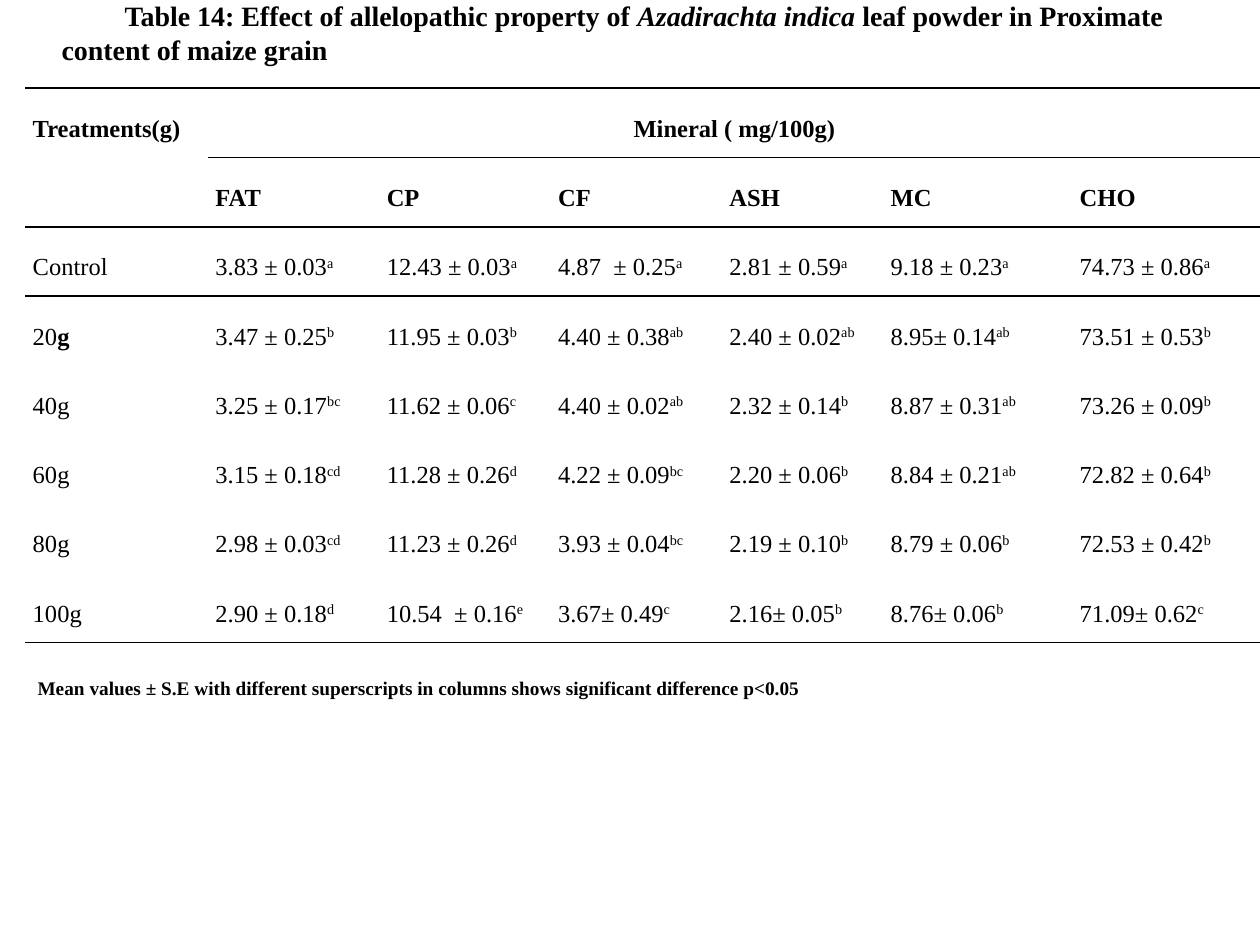
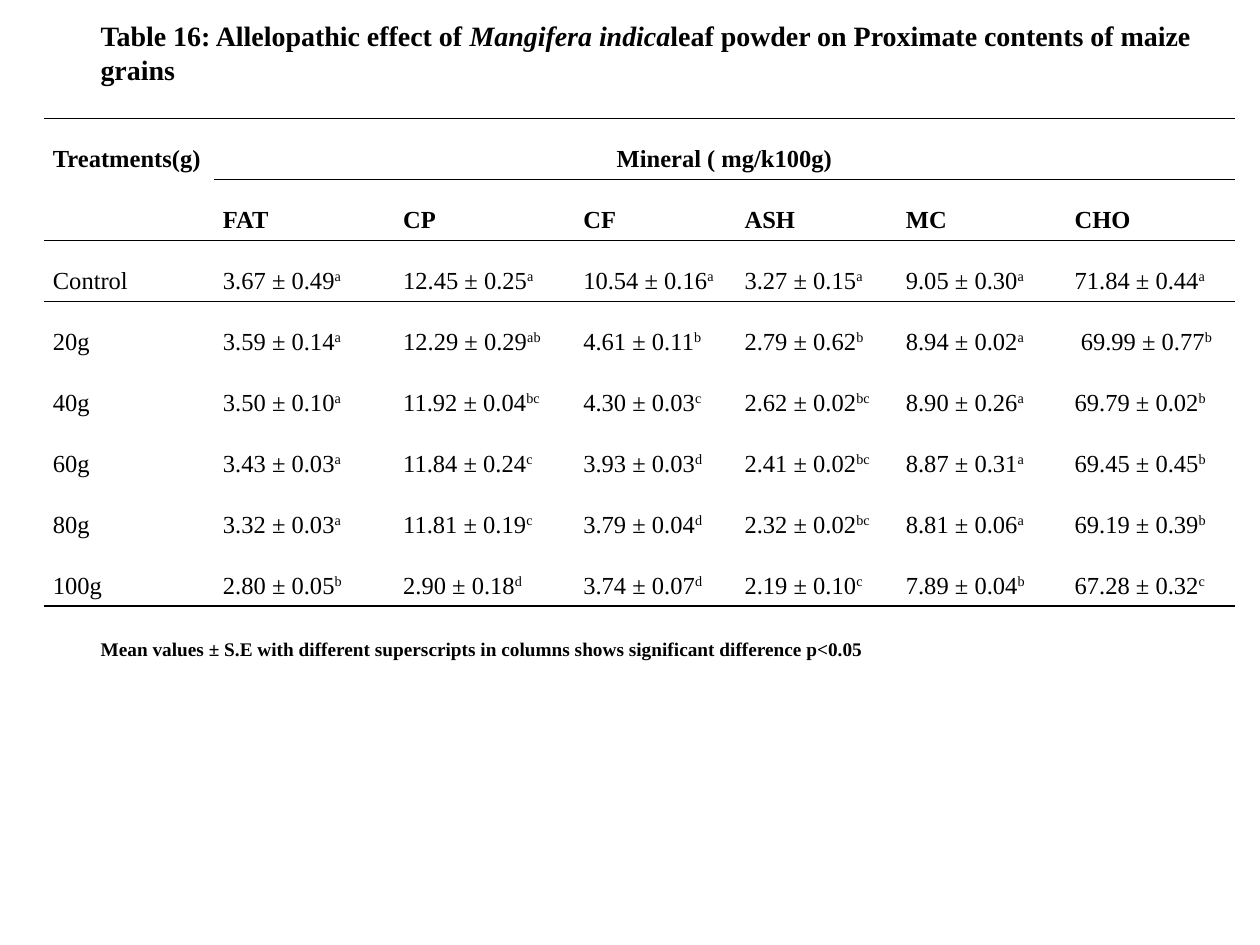
import pptx
import pptx.dml.color
import pptx.enum.text
import pptx.oxml
import pptx.oxml.ns
import pptx.util
from dataclasses import dataclass

Inches = pptx.util.Inches
Align = pptx.enum.text.PP_ALIGN

# Text is split into spans at "|"; a span starting with ^ is superscript,
# with / italic and with * bold.
NOTE = ("Mean values ± S.E with different superscripts in columns "
        "shows significant difference p<0.05")
NUTRIENTS = ["FAT", "CP", "CF", "ASH", "MC", "CHO"]

PAGES = [
    {
        "title": "Table 14: Effect of allelopathic property of |/Azadirachta indica "
                 "|leaf powder in Proximate content of maize grain",
        "title_at": (0.39, -0.17, 9.61, 0.98),
        "first_line_indent": 0.5,
        "note_at": (0.2, 5.32, 9.46, 0.29),
        "table_at": (0.2, 0.7),
        "columns": [1.45, 1.36, 1.36, 1.36, 1.28, 1.5, 1.5],
        "row_height": 0.55,
        "cell_margin": 0.06,
        "heading": "Mineral ( mg/100g)",
        "rows": [
            ["Control", "3.83 ± 0.03|^a", "12.43 ± 0.03|^a", "4.87  ± 0.25|^a",
             "2.81 ± 0.59|^a", "9.18 ± 0.23|^a", "74.73 ± 0.86|^a"],
            ["20|*g", "3.47 ± 0.25|^b", "11.95 ± 0.03|^b", "4.40 ± 0.38|^ab",
             "2.40 ± 0.02|^ab", "8.95± 0.14|^ab", "73.51 ± 0.53|^b"],
            ["40g", "3.25 ± 0.17|^bc", "11.62 ± 0.06|^c", "4.40 ± 0.02|^ab",
             "2.32 ± 0.14|^b", "8.87 ± 0.31|^ab", "73.26 ± 0.09|^b"],
            ["60g", "3.15 ± 0.18|^cd", "11.28 ± 0.26|^d", "4.22 ± 0.09|^bc",
             "2.20 ± 0.06|^b", "8.84 ± 0.21|^ab", "72.82 ± 0.64|^b"],
            ["80g", "2.98 ± 0.03|^cd", "11.23 ± 0.26|^d", "3.93 ± 0.04|^bc",
             "2.19 ± 0.10|^b", "8.79 ± 0.06|^b", "72.53 ± 0.42|^b"],
            ["100g", "2.90 ± 0.18|^d", "10.54  ± 0.16|^e", "3.67± 0.49|^c",
             "2.16± 0.05|^b", "8.76± 0.06|^b", "71.09± 0.62|^c"],
        ],
    },
    {
        "title": "Table 16: Allelopathic effect of |/Mangifera indica"
                 "|leaf powder on Proximate contents of maize grains",
        "title_at": (0.7, -0.01, 9.3, 0.98),
        "first_line_indent": 0,
        "note_at": (0.7, 5.01, 8.55, 0.29),
        "table_at": (0.35, 0.94),
        "columns": [1.35, 1.43, 1.43, 1.28, 1.28, 1.34, 1.34],
        "row_height": 0.484,
        "cell_margin": 0.07,
        "heading": "Mineral ( mg/k100g)",
        "rows": [
            ["Control", "3.67 ± 0.49|^a", "12.45 ± 0.25|^a", "10.54 ± 0.16|^a",
             "3.27 ± 0.15|^a", "9.05 ± 0.30|^a", "71.84 ± 0.44|^a"],
            ["20g", "3.59 ± 0.14|^a", "12.29 ± 0.29|^ab", "4.61 ± 0.11|^b",
             "2.79 ± 0.62|^b", "8.94 ± 0.02|^a", " 69.99 ± 0.77|^b"],
            ["40g", "3.50 ± 0.10|^a", "11.92 ± 0.04|^bc", "4.30 ± 0.03|^c",
             "2.62 ± 0.02|^bc", "8.90 ± 0.26|^a", "69.79 ± 0.02|^b"],
            ["60g", "3.43 ± 0.03|^a", "11.84 ± 0.24|^c", "3.93 ± 0.03|^d",
             "2.41 ± 0.02|^bc", "8.87 ± 0.31|^a", "69.45 ± 0.45|^b"],
            ["80g", "3.32 ± 0.03|^a", "11.81 ± 0.19|^c", "3.79 ± 0.04|^d",
             "2.32 ± 0.02|^bc", "8.81 ± 0.06|^a", "69.19 ± 0.39|^b"],
            ["100g", "2.80 ± 0.05|^b", "2.90 ± 0.18|^d", "3.74 ± 0.07|^d",
             "2.19 ± 0.10|^c", "7.89 ± 0.04|^b", "67.28 ± 0.32|^c"],
        ],
    },
]


@dataclass(frozen=True)
class Theme:
    font: str = "Times New Roman"
    ink: str = "000000"
    title_size: int = 16
    table_size: int = 14
    note_size: int = 11
    rule_width: int = 1
    plain_table: str = "{2D5ABB26-0587-4C30-8999-92F81FD0307C}"


THEME = Theme()


def write(para, text, size, bold):
    """Fill a paragraph with the spans of a marked-up text."""
    for piece in text.split("|"):
        mark = piece[0] if piece[0] in "^/*" else ""
        span = para.add_run()
        span.text = piece[len(mark):]
        span.font.name = THEME.font
        span.font.size = pptx.util.Pt(size)
        span.font.color.rgb = pptx.dml.color.RGBColor.from_string(THEME.ink)
        span.font.bold = bold or mark == "*"
        if mark == "/":
            span.font.italic = True
        if mark == "^":
            span.font._element.set("baseline", "30000")


def add_text(page, at, text, size):
    box = page.shapes.add_textbox(*map(Inches, at))
    box.text_frame.word_wrap = True
    write(box.text_frame.paragraphs[0], text, size, bold=True)
    return box


def add_title(page, content):
    box = add_text(page, content["title_at"], content["title"], THEME.title_size)
    box.text_frame.margin_top = Inches(0.16)
    box.text_frame.margin_bottom = 0
    indent = content["first_line_indent"]
    if indent:
        properties = box.text_frame.paragraphs[0]._p.get_or_add_pPr()
        properties.set("indent", str(Inches(indent)))


def rule_cell(cell, sides):
    """Draw the cell's borders on the given sides: T for top, B for bottom."""
    for side in sides:
        cell._tc.get_or_add_tcPr().append(pptx.oxml.parse_xml(
            f'<a:ln{side} {pptx.oxml.ns.nsdecls("a")} '
            f'w="{pptx.util.Pt(THEME.rule_width)}"><a:solidFill>'
            f'<a:srgbClr val="{THEME.ink}"/></a:solidFill></a:ln{side}>'))


def add_results(page, content):
    rows = [["Treatments(g)", content["heading"]], [""] + NUTRIENTS] + content["rows"]
    widths = content["columns"]
    height = content["row_height"]
    frame = page.shapes.add_table(
        len(rows), len(widths), *map(Inches, content["table_at"]),
        Inches(sum(widths)), Inches(height * len(rows)))
    table = frame.table
    table.first_row = table.horz_banding = False
    table._tbl.tblPr.find(pptx.oxml.ns.qn("a:tableStyleId")).text = THEME.plain_table
    for column, width in zip(table.columns, widths):
        column.width = Inches(width)
    for row in table.rows:
        row.height = Inches(height)
    table.cell(0, 0).merge(table.cell(1, 0))
    table.cell(0, 1).merge(table.cell(0, len(widths) - 1))

    ruled = {0: "TB", 1: "TB", 2: "T", len(rows) - 1: "B"}
    for r, texts in enumerate(rows):
        for c in range(len(widths)):
            cell = table.cell(r, c)
            rule_cell(cell, "B" if (r, c) == (1, 0) else ruled.get(r, ""))
            cell.fill.background()
            cell.margin_left = cell.margin_right = Inches(content["cell_margin"])
            cell.margin_top = cell.margin_bottom = 0
            if c < len(texts) and texts[c]:
                para = cell.text_frame.paragraphs[0]
                para.line_spacing = 2.0
                para.alignment = Align.CENTER if (r, c) == (0, 1) else Align.JUSTIFY
                write(para, texts[c], THEME.table_size, bold=r < 2)


def main():
    deck = pptx.Presentation()
    deck.slide_width, deck.slide_height = Inches(10), Inches(7.5)
    for content in PAGES:
        page = deck.slides.add_slide(deck.slide_layouts[6])
        add_results(page, content)
        add_title(page, content)
        add_text(page, content["note_at"], NOTE, THEME.note_size)
    deck.save("out.pptx")


if __name__ == "__main__":
    main()
